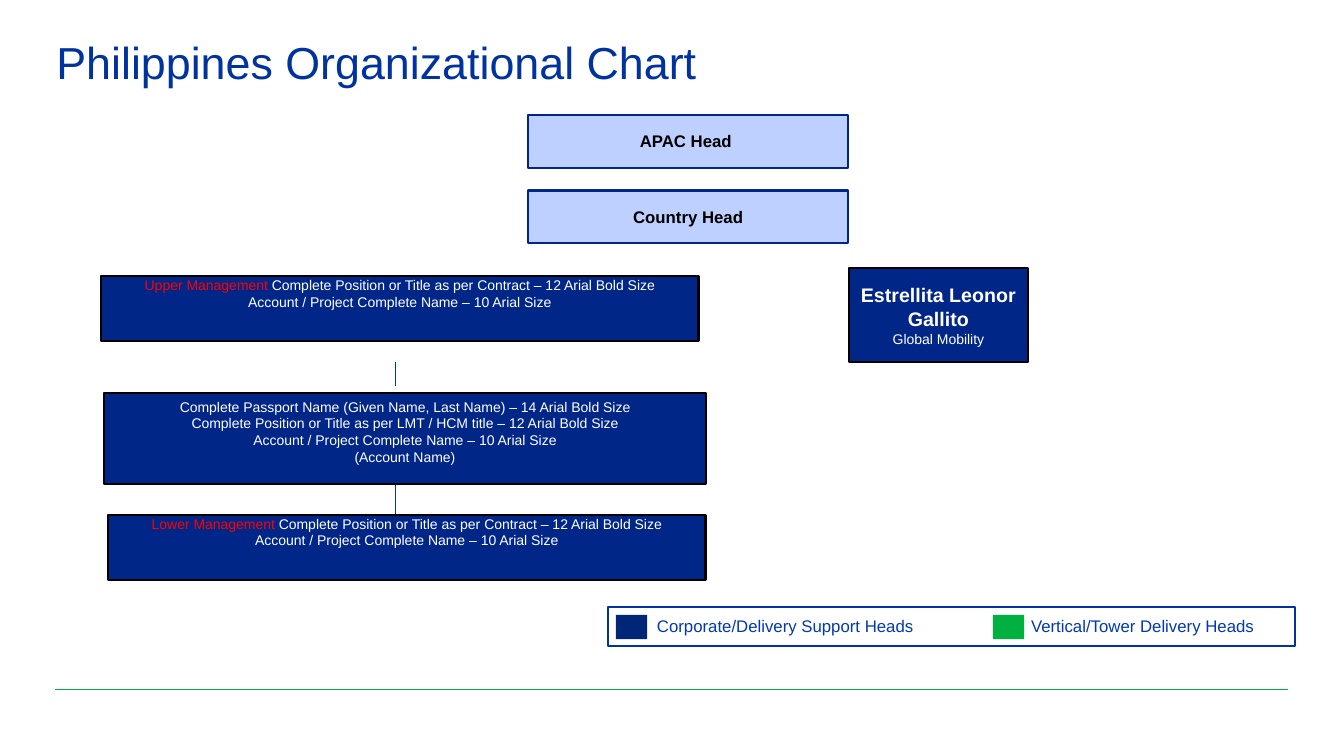
from lxml import etree
from pptx import Presentation
from pptx.dml.color import RGBColor
from pptx.enum.shapes import MSO_CONNECTOR, MSO_SHAPE
from pptx.enum.text import MSO_ANCHOR, PP_ALIGN
from pptx.oxml.ns import qn
from pptx.util import Pt

WHITE = RGBColor(0xFF, 0xFF, 0xFF)
BLACK = RGBColor(0, 0, 0)
RED = RGBColor(0xFF, 0, 0)
GREEN = RGBColor(0x00, 0xB1, 0x40)
NAVY = RGBColor(0x00, 0x26, 0x87)
LEGEND_NAVY = RGBColor(0x00, 0x26, 0x78)
PALE_BLUE = RGBColor(0xBD, 0xD0, 0xFF)
TITLE_BLUE = RGBColor(0x00, 0x33, 0xA0)
LEGEND_BLUE = RGBColor(0x00, 0x39, 0xB2)
LINK_BLUE = RGBColor(0x00, 0x33, 0xB4)

prs = Presentation()
prs.slide_width, prs.slide_height = Pt(960), Pt(540)
slide = prs.slides.add_slide(prs.slide_layouts[6])


def add_box(place, fill=None, outline=None):
    box = slide.shapes.add_shape(MSO_SHAPE.RECTANGLE, *map(Pt, place))
    box.shadow.inherit = False
    if fill is None:
        box.fill.background()
    else:
        box.fill.solid()
        box.fill.fore_color.rgb = fill
    if outline is None:
        box.line.fill.background()
    else:
        box.line.color.rgb = outline
        box.line.width = Pt(1.5)
    return box


def write(shape, paragraphs, align, **frame_format):
    """Fill a shape with paragraphs, each a list of (text, size, colour, bold) runs."""
    frame = shape.text_frame
    for name, value in frame_format.items():
        setattr(frame, name, value)
    for index, runs in enumerate(paragraphs):
        paragraph = frame.add_paragraph() if index else frame.paragraphs[0]
        paragraph.alignment = align
        for text, size, colour, bold in runs:
            run = paragraph.add_run()
            run.text = text
            run.font.color.rgb = colour
            for name, value in {"name": "Arial", "size": Pt(size), "bold": bold}.items():
                setattr(run.font, name, value)


# Footer rule and the links between management levels
for x1, y1, x2, y2, colour in [
    (39.6, 492.5, 920.2, 492.5, GREEN),
    (282.2, 258.5, 282.2, 275.8, LINK_BLUE),
    (282.2, 367.9, 282.2, 344.9, LINK_BLUE),
]:
    rule = slide.shapes.add_connector(MSO_CONNECTOR.STRAIGHT, Pt(x1), Pt(y1), Pt(x2), Pt(y2))
    rule.line.color.rgb = colour
    rule.line.width = Pt(0.5)
    etree.SubElement(rule._element.spPr, qn("a:effectLst"))

title = slide.shapes.add_textbox(Pt(40.3), Pt(28.8), Pt(880), Pt(83.5))
write(title, [[("Philippines Organizational Chart", 32, TITLE_BLUE, False)]], PP_ALIGN.LEFT,
      word_wrap=True, margin_left=0, margin_top=0, margin_right=0, margin_bottom=0)
title.text_frame.paragraphs[0].line_spacing = 0.9

# Organisation boxes: place, fill, outline, anchor, top margin, paragraphs
contract = "Complete Position or Title as per Contract – 12 Arial Bold Size"
account = [("Account / Project Complete Name – 10 Arial Size", 10, WHITE, False)]
passport_level = [
    [("Complete Passport Name (Given Name, Last Name) – 14 Arial Bold Size", 10, WHITE, False)],
    [("Complete Position or Title as per LMT / HCM title – 12 Arial Bold Size", 10, WHITE, False)],
    account,
    [("(Account Name)", 10, WHITE, False)],
]
upper_level, lower_level = [
    [[(f"{level} Management ", 10, RED, False), (contract, 10, WHITE, False)], account]
    for level in ("Upper", "Lower")
]
mobility = [
    [("Estrellita Leonor Gallito", 14, WHITE, True)],
    [("Global Mobility", 10, WHITE, False)],
]
MIDDLE, TOP = MSO_ANCHOR.MIDDLE, MSO_ANCHOR.TOP
for place, fill, outline, anchor, margin_top, paragraphs in [
    ((377.3, 82.1, 228.5, 37.7), PALE_BLUE, NAVY, MIDDLE, 3.6, [[("APAC Head ", 12, BLACK, True)]]),
    ((377.3, 136.1, 228.5, 37.7), PALE_BLUE, NAVY, MIDDLE, 3.6, [[("Country Head", 12, BLACK, True)]]),
    ((606.2, 191.5, 128.2, 67), NAVY, BLACK, MIDDLE, 3.6, mobility),
    ((72, 197.3, 427, 46.4), NAVY, BLACK, TOP, 0, upper_level),
    ((74.2, 280.8, 430, 64.8), NAVY, BLACK, TOP, 3.6, passport_level),
    ((77, 367.9, 427, 46.4), NAVY, BLACK, TOP, 0, lower_level),
]:
    write(add_box(place, fill, outline), paragraphs, PP_ALIGN.CENTER,
          word_wrap=True, vertical_anchor=anchor, margin_left=0, margin_right=0,
          margin_top=Pt(margin_top), margin_bottom=Pt(3.6))

# Legend
add_box((434.2, 433.4, 491, 28.1), outline=TITLE_BLUE)
for swatch_left, label_left, label_width, colour, label in [
    (439.9, 462.2, 202.3, LEGEND_NAVY, "Corporate/Delivery Support Heads"),
    (709.2, 729.4, 175, GREEN, "Vertical/Tower Delivery Heads"),
]:
    add_box((swatch_left, 439.2, 22.3, 17.3), colour)
    entry = slide.shapes.add_textbox(Pt(label_left), Pt(436.3), Pt(label_width), Pt(21.6))
    write(entry, [[(label, 12, LEGEND_BLUE, False)]], PP_ALIGN.LEFT, word_wrap=False)

prs.save("out.pptx")
